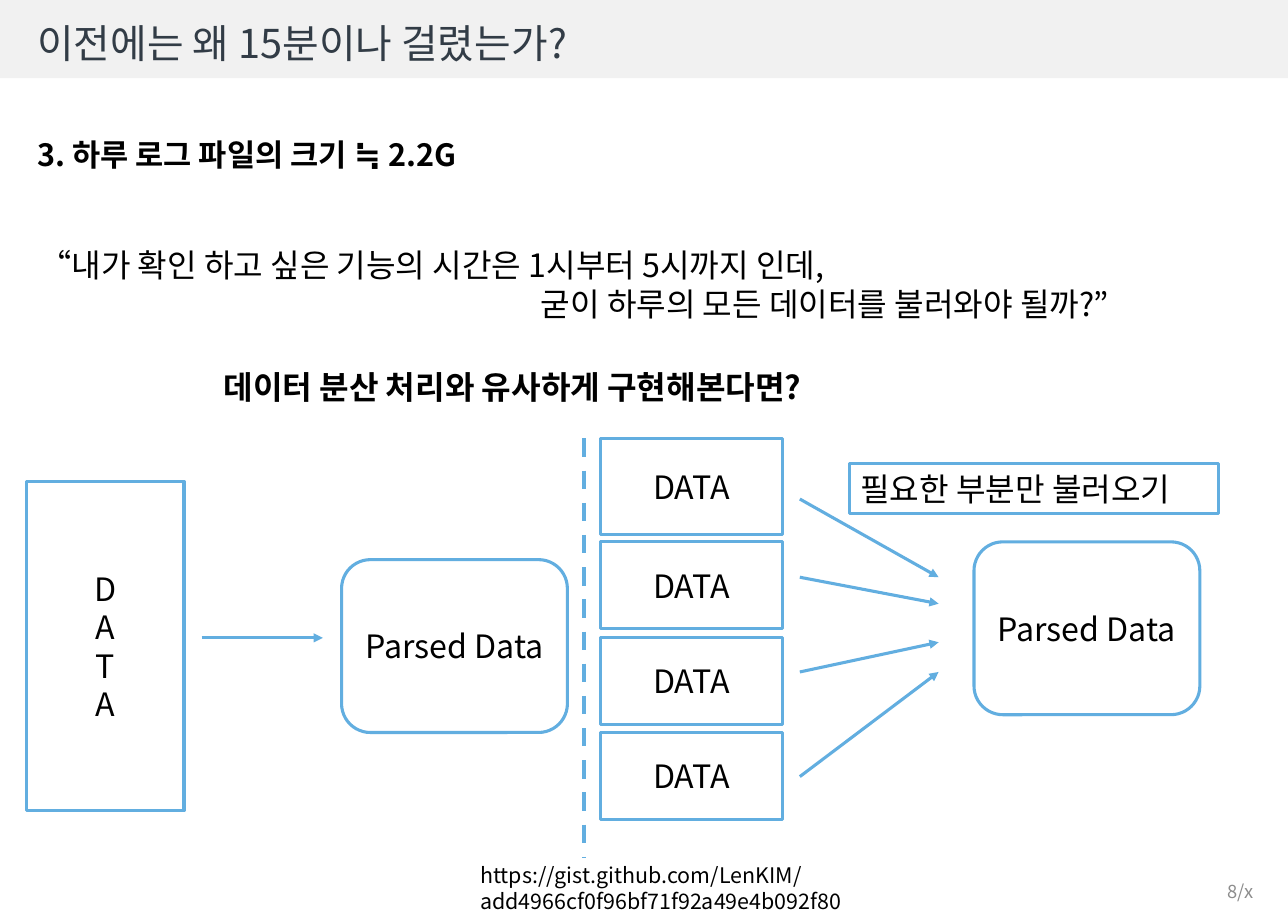
from dataclasses import dataclass

from lxml import etree
from pptx import Presentation
from pptx.dml.color import RGBColor
from pptx.enum.dml import MSO_LINE
from pptx.enum.shapes import MSO_CONNECTOR, MSO_SHAPE
from pptx.enum.text import MSO_ANCHOR, PP_ALIGN
from pptx.oxml.ns import qn
from pptx.slide import Slide
from pptx.text.text import TextFrame
from pptx.util import Pt

RECT, ROUND = MSO_SHAPE.RECTANGLE, MSO_SHAPE.ROUNDED_RECTANGLE
STRAIGHT, DASH = MSO_CONNECTOR.STRAIGHT, MSO_LINE.DASH
TOP, MIDDLE = MSO_ANCHOR.TOP, MSO_ANCHOR.MIDDLE
LEFT, CENTER, RIGHT = PP_ALIGN.LEFT, PP_ALIGN.CENTER, PP_ALIGN.RIGHT


@dataclass(frozen=True)
class Theme:
    font: str = "Noto Sans CJK KR"
    text: str = "000000"
    title: str = "323C46"
    muted: str = "8C8C8C"
    bar: str = "F1F1F1"
    paper: str = "FFFFFF"
    accent: str = "62AEE0"
    title_size: float = 26
    body_size: float = 21
    heading_size: float = 20
    link_size: float = 14
    page_size: float = 12
    line: float = 2
    divider: float = 3


THEME = Theme()


@dataclass(frozen=True)
class Area:
    x: float
    y: float
    w: float
    h: float

    def lengths(self) -> tuple[Pt, Pt, Pt, Pt]:
        return Pt(self.x), Pt(self.y), Pt(self.w), Pt(self.h)


@dataclass(frozen=True)
class Run:
    text: str
    size: float = THEME.body_size
    color: str = THEME.text
    bold: bool = False


@dataclass(frozen=True)
class Line:
    runs: tuple[Run, ...]
    indent: float = 0


@dataclass(frozen=True)
class Label:
    area: Area
    lines: tuple[Line, ...]
    anchor: MSO_ANCHOR = TOP
    align: PP_ALIGN = LEFT


@dataclass(frozen=True)
class Box:
    area: Area
    words: tuple[str, ...]
    kind: MSO_SHAPE = RECT
    anchor: MSO_ANCHOR = MIDDLE
    align: PP_ALIGN = CENTER


@dataclass(frozen=True)
class Arrow:
    x1: float
    y1: float
    x2: float
    y2: float


def one_line(*runs: Run) -> tuple[Line, ...]:
    return (Line(runs),)


PAGE = Area(0, 0, 841.68, 595.44)
TITLE_BAR = Area(0, 0, PAGE.w, 51.1)

LABELS = [
    Label(Area(721.4, 574.6, 105.1, 15.8),
          one_line(Run("8/x", THEME.page_size, THEME.muted)), MIDDLE, RIGHT),
    Label(Area(17.3, 7.2, 632.2, 41),
          one_line(Run("이전에는 왜 15분이나 걸렸는가?", THEME.title_size, THEME.title)), MIDDLE),
    Label(Area(17.3, 84.2, 317.5, 32.4),
          one_line(Run("3. 하루 로그 파일의 크기 ", THEME.heading_size, bold=True),
                   Run("≒ ", bold=True),
                   Run("2.2G", THEME.heading_size, bold=True))),
    Label(Area(18.7, 157, 761.8, 58.3),
          (Line((Run("“내가 확인 하고 싶은 기능의 시간은 1시부터 5시까지 인데,"),)),
           Line((Run("굳이 하루의 모든 데이터를 불러와야 될까?”"),), indent=327.6))),
    Label(Area(139, 236.9, 435.6, 32.4),
          one_line(Run("데이터 분산 처리와 유사하게 구현해본다면?", bold=True))),
    Label(Area(306.7, 560.2, 452.9, 24.5),
          one_line(Run("https://gist.github.com/LenKIM/add4966cf0f96bf71f92a49e4b092f80",
                       THEME.link_size))),
]

CHUNK_X, CHUNK_W, CHUNK_H, CHUNK_STEP = 392.4, 118.8, 56.9, 62.3
PARSED_W, PARSED_H = 147.6, 113
BOXES = [
    Box(Area(17.3, 314.6, 103, 215.3), tuple("DATA")),
    Box(Area(223.2, 365.8, PARSED_W, PARSED_H), ("Parsed Data",), ROUND),
    Box(Area(CHUNK_X, 286.6, CHUNK_W, 62.6), ("DATA",)),
    *(Box(Area(CHUNK_X, 354.2 + i * CHUNK_STEP, CHUNK_W, CHUNK_H), ("DATA",)) for i in range(3)),
    Box(Area(636.5, 354.2, PARSED_W, PARSED_H), ("Parsed Data",), ROUND),
    Box(Area(555.1, 303.1, 241.2, 32.4), ("필요한 부분만 불러오기",), anchor=TOP, align=LEFT),
]

DIVIDER = Arrow(381.6, 286.6, 381.6, 560.2)
CHUNK_ENDS = [(326.2, 377.3), (377.3, 394.6), (439.2, 419.8), (507.6, 439.2)]
ARROWS = [Arrow(131.8, 416.9, 211, 416.9),
          *(Arrow(522.7, start, 613.4, end) for start, end in CHUNK_ENDS)]


def rgb(color: str) -> RGBColor:
    return RGBColor.from_string(color)


def write(tf: TextFrame, lines: tuple[Line, ...], anchor: MSO_ANCHOR, align: PP_ALIGN) -> None:
    tf.word_wrap = True
    tf.vertical_anchor = anchor
    for i, line in enumerate(lines):
        p = tf.add_paragraph() if i else tf.paragraphs[0]
        p.alignment = align
        if line.indent:
            p._p.get_or_add_pPr().set("marL", str(Pt(line.indent)))
        for run in line.runs:
            r = p.add_run()
            r.text = run.text
            formats = {"name": THEME.font, "size": Pt(run.size), "bold": run.bold}
            for name, value in formats.items():
                setattr(r.font, name, value)
            r.font.color.rgb = rgb(run.color)
            etree.SubElement(r._r.get_or_add_rPr(), qn("a:ea"), typeface=THEME.font)


def add_label(s: Slide, label: Label) -> None:
    tf = s.shapes.add_textbox(*label.area.lengths()).text_frame
    write(tf, label.lines, label.anchor, label.align)


def add_title_bar(s: Slide) -> None:
    sp = s.shapes.add_shape(RECT, *TITLE_BAR.lengths())
    sp.shadow.inherit = False
    sp.fill.solid()
    sp.fill.fore_color.rgb = rgb(THEME.bar)
    sp.line.fill.background()


def add_box(s: Slide, box: Box) -> None:
    sp = s.shapes.add_shape(box.kind, *box.area.lengths())
    sp.shadow.inherit = False
    sp.fill.solid()
    sp.fill.fore_color.rgb = rgb(THEME.paper)
    sp.line.color.rgb = rgb(THEME.accent)
    sp.line.width = Pt(THEME.line)
    lines = tuple(Line((Run(word),)) for word in box.words)
    write(sp.text_frame, lines, box.anchor, box.align)


def add_line(s: Slide, a: Arrow, width: float = THEME.line, dashed: bool = False) -> None:
    """Draw a dashed line without a head, or a solid one with a triangle at its end."""
    c = s.shapes.add_connector(STRAIGHT, Pt(a.x1), Pt(a.y1), Pt(a.x2), Pt(a.y2))
    c.line.color.rgb = rgb(THEME.accent)
    c.line.width = Pt(width)
    if dashed:
        c.line.dash_style = DASH
    else:
        etree.SubElement(c.line._get_or_add_ln(), qn("a:tailEnd"), type="triangle")
    etree.SubElement(c._element.spPr, qn("a:effectLst"))


def main() -> None:
    prs = Presentation()
    prs.slide_width, prs.slide_height = Pt(PAGE.w), Pt(PAGE.h)
    s = prs.slides.add_slide(prs.slide_layouts[6])
    add_title_bar(s)
    for label in LABELS:
        add_label(s, label)
    for box in BOXES:
        add_box(s, box)
    add_line(s, DIVIDER, THEME.divider, dashed=True)
    for arrow in ARROWS:
        add_line(s, arrow)
    prs.save("out.pptx")


if __name__ == "__main__":
    main()
